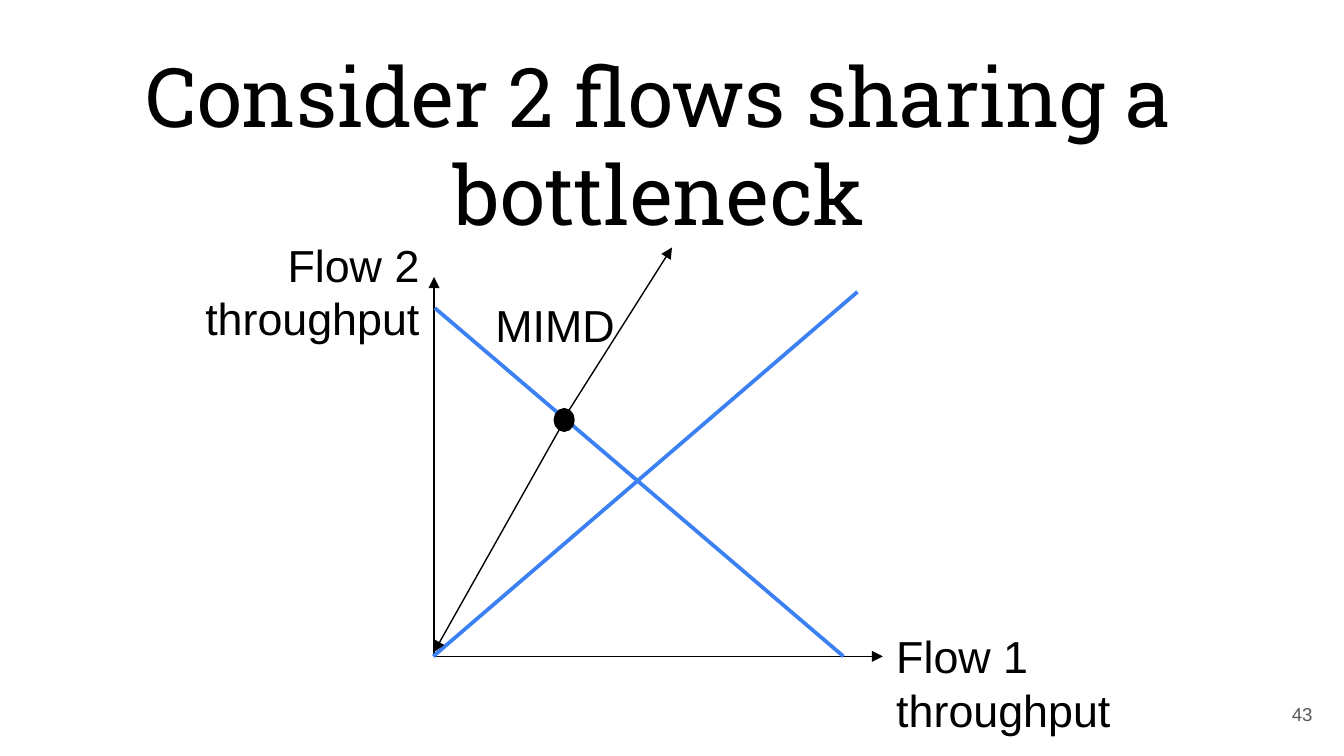
from dataclasses import dataclass

from lxml.etree import SubElement
from pptx import Presentation
from pptx.dml.color import RGBColor as Color
from pptx.enum.shapes import MSO_CONNECTOR as Connector, MSO_SHAPE as Preset
from pptx.enum.text import MSO_ANCHOR as Anchor, MSO_AUTO_SIZE as Fit, PP_ALIGN as Align
from pptx.oxml.ns import qn
from pptx.util import Inches, Pt


@dataclass(frozen=True)
class Theme:
    heading_font: str = "Roboto Slab"
    body_font: str = "Arial"
    ink: str = "000000"
    accent: str = "3C81F3"
    muted: str = "595959"
    title_size: int = 44
    label_size: int = 24
    number_size: int = 10
    thin: float = 0.75
    thick: float = 2


THEME = Theme()
WIDTH = 10
HEIGHT = WIDTH * 9 / 16
COLUMNS = ROWS = 100
INSET = 0.1
BASE = 86.83

TITLE = (["Consider 2 flows sharing a bottleneck"], (0, 4.22, 98.1, 25.24))
PAGE_NUMBER = (["43"], (92.65, 90.67, 6, 7.65))
LABELS = [
    (["Flow 1", "throughput"], (65.7, 82.35, 18.1, 16.18), Align.LEFT),
    (["Flow 2", "throughput"], (14.1, 30.52, 18.1, 16.18), Align.RIGHT),
    (["MIMD"], (35.73, 38.45, 11, 8.89), Align.RIGHT),
]
AXES = [
    ((32.3, BASE), (32.3, 36.65)),
    ((32.4, BASE), (65.7, BASE)),
]
GUIDES = [
    ((32.24, BASE), (63.8, 38.61)),
    ((32.36, 40.75), (62.76, BASE)),
]
OPERATING_POINT = (41.33, 54.22, 1.3, 2.67)
MIMD_ARROWS = [
    ((41.9, 55.5), (50, 32.74)),
    ((42.1, 55.3), (32.3, 86.25)),
]


def place(column, row):
    return Inches(WIDTH * column / COLUMNS), Inches(HEIGHT * row / ROWS)


def frame(area):
    return *place(*area[:2]), *place(*area[2:])


def add_text(page, lines, area, font, size, color, align, wrap=True, anchor=Anchor.TOP):
    box = page.shapes.add_textbox(*frame(area))
    text = box.text_frame
    text.word_wrap = wrap
    text.auto_size = Fit.NONE if wrap else Fit.SHAPE_TO_FIT_TEXT
    text.vertical_anchor = anchor
    if wrap:
        text.margin_top = text.margin_bottom = Inches(INSET)
    for index, line in enumerate(lines):
        para = text.add_paragraph() if index else text.paragraphs[0]
        para.alignment = align
        span = para.add_run()
        span.text = line
        span.font.name = font
        span.font.size = Pt(size)
        span.font.color.rgb = Color.from_string(color)


def add_line(page, start, end, color, width, arrow=False):
    line = page.shapes.add_connector(Connector.STRAIGHT, *place(*start), *place(*end))
    line.line.color.rgb = Color.from_string(color)
    line.line.width = Pt(width)
    properties = line._element.spPr
    if arrow:
        SubElement(properties.get_or_add_ln(), qn("a:tailEnd"), type="triangle")
    SubElement(properties, qn("a:effectLst"))


def add_dot(page, area):
    dot = page.shapes.add_shape(Preset.FLOWCHART_CONNECTOR, *frame(area))
    dot.shadow.inherit = False
    dot.fill.solid()
    dot.fill.fore_color.rgb = dot.line.color.rgb = Color.from_string(THEME.ink)
    dot.line.width = Pt(THEME.thick)


def main():
    deck = Presentation()
    deck.slide_width, deck.slide_height = Inches(WIDTH), Inches(HEIGHT)
    page = deck.slides.add_slide(deck.slide_layouts[6])

    add_text(page, *TITLE, THEME.heading_font, THEME.title_size, THEME.ink, Align.CENTER)
    for start, end in AXES:
        add_line(page, start, end, THEME.ink, THEME.thin, arrow=True)
    for start, end in GUIDES:
        add_line(page, start, end, THEME.accent, THEME.thick)
    add_dot(page, OPERATING_POINT)
    for start, end in MIMD_ARROWS:
        add_line(page, start, end, THEME.ink, THEME.thin, arrow=True)
    for lines, area, align in LABELS:
        add_text(page, lines, area, THEME.body_font, THEME.label_size, THEME.ink, align, wrap=False)
    add_text(page, *PAGE_NUMBER, THEME.body_font, THEME.number_size, THEME.muted,
             Align.RIGHT, anchor=Anchor.MIDDLE)

    deck.save("out.pptx")


if __name__ == "__main__":
    main()
